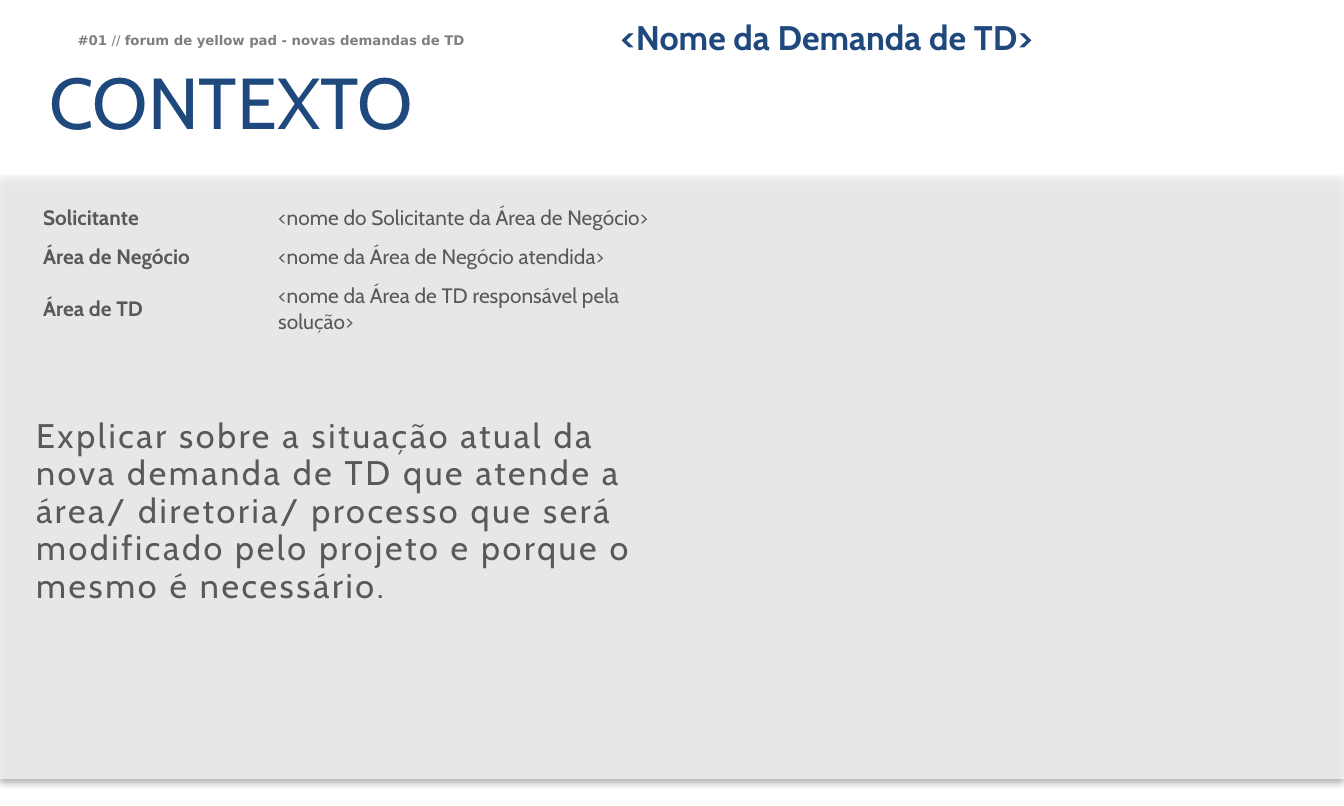
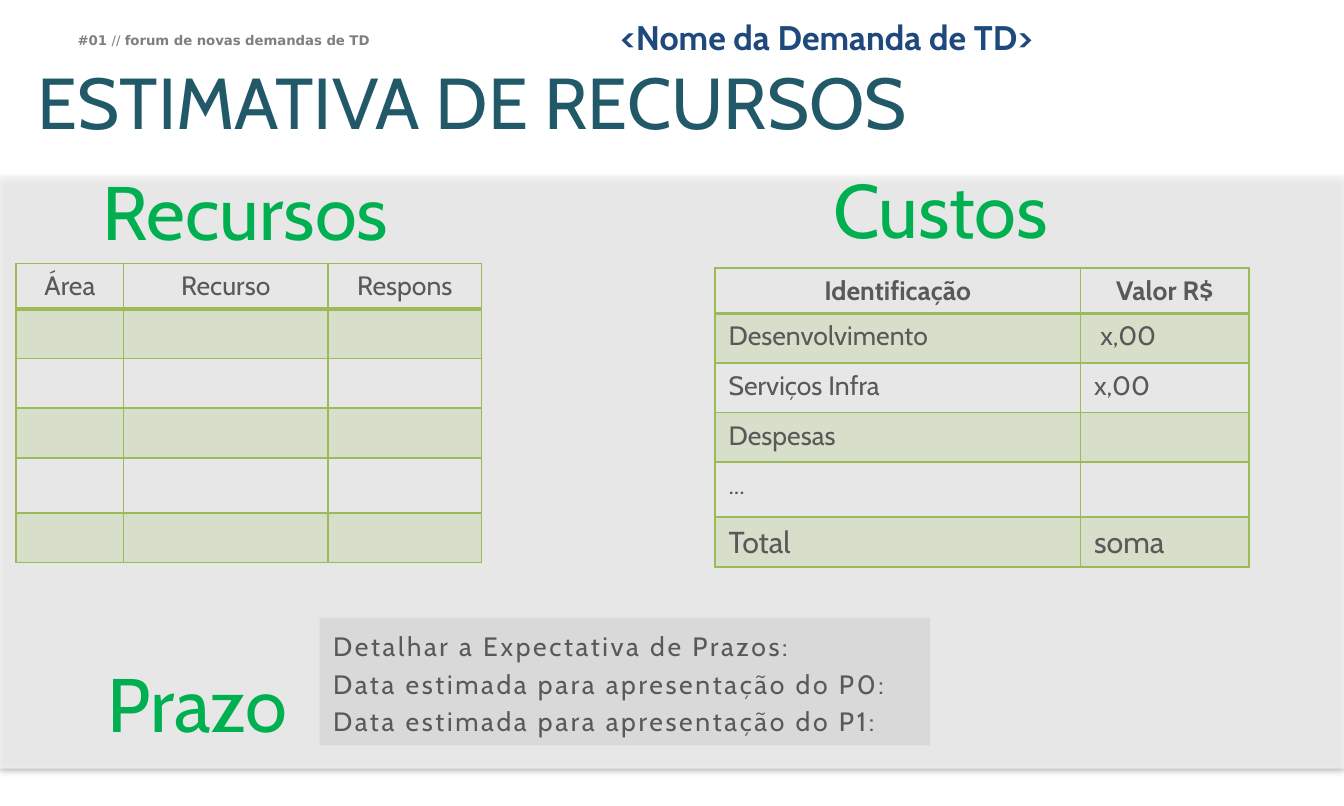
from lxml import etree
from pptx import Presentation
from pptx.dml.color import RGBColor
from pptx.enum import shapes, text
from pptx.oxml import parse_xml
from pptx.oxml.ns import nsdecls, qn
from pptx.util import Pt

NAVY, TEAL, GREEN = "1F497D", "215968", "00B050"
INK, GRAY, PANEL, BOX, OLIVE = "595959", "7F7F7F", "F2F2F2", "D9D9D9", "9BBB59"
PLAIN = "{2D5ABB26-0587-4C30-8999-92F81FD0307C}"
LEFT, MID = text.PP_ALIGN.LEFT, text.PP_ALIGN.CENTER


def hue(code):
    return RGBColor.from_string(code)


def tint(fill, code):
    fill.solid()
    fill.fore_color.rgb = hue(code)


def fade(node, part):
    """Make the colours below node opaque by part percent."""
    for clr in node.iter(qn("a:srgbClr")):
        etree.SubElement(clr, qn("a:alpha")).set("val", str(part * 1000))


def edge(cell, widths):
    """Draw cell borders; widths are points for left, right, top, bottom."""
    props = cell._tc.get_or_add_tcPr()
    for pos, (side, width) in enumerate(zip("LRTB", widths)):
        props.insert(pos, parse_xml(
            f'<a:ln{side} {nsdecls("a")} w="{width * 12700}"><a:solidFill>'
            f'<a:srgbClr val="{OLIVE}"/></a:solidFill></a:ln{side}>'))


class Deck:
    face = "Cabin"

    def __init__(self):
        self.prs = Presentation()
        self.prs.slide_width, self.prs.slide_height = Pt(708.75), Pt(425.25)

    def place(self, shape, box):
        shape.left, shape.top, shape.width, shape.height = map(Pt, box)

    def style(self, frame, size, color, bold=False, align=LEFT, gap=None, face=None):
        for para in frame.paragraphs:
            para.alignment = align
            para.space_before = Pt(0)
            if gap:
                para.line_spacing = gap
            for run in para.runs:
                font = run.font
                font.name, font.size, font.bold = face or self.face, Pt(size), bold
                font.color.rgb = hue(color)

    def inset(self, frame, side, top):
        frame.word_wrap = True
        frame.auto_size = text.MSO_AUTO_SIZE.NONE
        frame.vertical_anchor = text.MSO_ANCHOR.TOP
        frame.margin_left = frame.margin_right = Pt(side)
        frame.margin_top = frame.margin_bottom = Pt(top)

    def label(self, words, box, size, color, side=0, top=0, **look):
        shape = self.slide.shapes.add_textbox(*map(Pt, box))
        shape.text_frame.text = words
        self.inset(shape.text_frame, side, top)
        self.style(shape.text_frame, size, color, **look)
        return shape.text_frame

    def page(self, title, left, width, color, forum, depth):
        """Start a slide with its panel, title, forum line and demand name."""
        self.slide = self.prs.slides.add_slide(self.prs.slide_layouts[1])
        head = self.slide.shapes.title
        self.place(head, (left, 43, width, 33))
        head.text_frame.text = title
        self.inset(head.text_frame, 0, 0)
        self.style(head.text_frame, 38, color, gap=0.7)
        self.panel(depth)
        frame = self.label("", (34.5, 14, 225, 15), 7, GRAY, 6.5, 3)
        for words in ("#01 ", "// ", forum):
            frame.paragraphs[0].add_run().text = words
        self.style(frame, 7, GRAY, True, face="DejaVu Sans")
        frame.paragraphs[0].runs[1].font.bold = False
        self.label("<Nome da Demanda de TD>", (320.2, 8.5, 289.5, 26), 18, NAVY,
                   7.2, 3.6, bold=True, gap=0.85)

    def panel(self, depth):
        rect = self.slide.shapes.add_shape(
            shapes.MSO_SHAPE.RECTANGLE, 0, Pt(93.5), self.prs.slide_width, Pt(depth))
        tint(rect.fill, PANEL)
        fade(rect.element.spPr, 83)
        rect.line.fill.background()
        rect.shadow.inherit = False
        rect.element.spPr.find(qn("a:effectLst")).append(parse_xml(
            f'<a:outerShdw {nsdecls("a")} blurRad="39370" dist="22860" dir="5400000" '
            'rotWithShape="0"><a:srgbClr val="000000"><a:alpha val="35000"/>'
            '</a:srgbClr></a:outerShdw>'))
        self.slide.shapes.title.element.addprevious(rect.element)

    def body(self, words, box, size, side, top, back=None):
        """Fill the body placeholder with widely spaced, unbulleted text."""
        shape = self.slide.placeholders[1]
        self.place(shape, box)
        frame = shape.text_frame
        frame.text = words
        for para in frame.paragraphs:
            props = para._p.get_or_add_pPr()
            props.set("marL", "0")
            props.set("indent", "0")
            etree.SubElement(props, qn("a:buNone"))
        self.inset(frame, side, top)
        self.style(frame, size, INK, gap=Pt(19.8))
        for props in shape.element.iter(qn("a:rPr")):
            props.set("spc", "140")
        if back:
            tint(shape.fill, back)

    def table(self, rows, spot, cols, highs):
        frame = self.slide.shapes.add_table(
            len(rows), len(cols), *map(Pt, (*spot, sum(cols), sum(highs))))
        next(frame.element.iter(qn("a:tableStyleId"))).text = PLAIN
        table = frame.table
        table.first_row = table.horz_banding = False
        for col, width in zip(table.columns, cols):
            col.width = Pt(width)
        for row, high, words in zip(table.rows, highs, rows):
            row.height = Pt(high)
            for cell, word in zip(row.cells, words):
                cell.text = word
                cell.fill.background()
        return table

    def facts(self, rows, spot, cols, highs):
        """Add a borderless table with bold names on the left."""
        table = self.table(rows, spot, cols, highs)
        for row in table.rows:
            for pos, cell in enumerate(row.cells):
                cell.vertical_anchor = text.MSO_ANCHOR.MIDDLE
                self.style(cell.text_frame, 11, INK, pos == 0)

    def grid(self, rows, spot, cols, bold=False):
        """Add a banded table with green borders under a header row."""
        table = self.table(rows, spot, cols, (24, 26.2, 26.2, 26.2, 29, 26.2))
        for num, row in enumerate(table.rows):
            for cell in row.cells:
                cell.margin_bottom = 0
                head = num == 0
                size = 16 if num == len(rows) - 1 else 14
                self.style(cell.text_frame, size, INK, head and bold,
                           MID if head else LEFT)
                if num % 2:
                    tint(cell.fill, OLIVE)
                    fade(cell._tc.tcPr, 20)
                edge(cell, (1, 1, 2 if num == 1 else 1, 2 if head else 1))
        return table


def main():
    deck = Deck()

    deck.page("CONTEXTO", 26, 262, NAVY,
              "forum de yellow pad - novas demandas de TD", 317.5)
    deck.body("Explicar sobre a situação atual da nova demanda de TD que atende a "
              "área/ diretoria/ processo que será modificado pelo projeto e porque "
              "o mesmo é necessário.", (14, 217.2, 340, 147), 18, 5, 3)
    deck.facts([("Solicitante", "<nome do Solicitante da Área de Negócio>"),
                ("Área de Negócio", "<nome da Área de Negócio atendida>"),
                ("Área de TD", "<nome da Área de TD responsável pela solução>")],
               (15.5, 104.6), (124, 226), (20.4, 20.4, 33.4))

    deck.page("ESTIMATIVA DE RECURSOS", 20, 471, TEAL,
              "forum de novas demandas de TD", 312)
    deck.body("Detalhar a Expectativa de Prazos:\vData estimada para apresentação do P0:\n"
              "Data estimada para apresentação do P1:",
              (168.5, 325.8, 322, 67.5), 14, 7.2, 3.6, BOX)
    costs = deck.grid([("Identificação", "Valor R$"), ("Desenvolvimento", "x,00"),
                       ("Serviços Infra", "x,00"), ("Despesas", ""), ("...", ""),
                       ("Total", "soma")], (377, 141.3), (192.8, 88.8), True)
    costs.cell(1, 1).margin_left = Pt(10.5)
    deck.grid([("Área", "Recurso", "Respons")] + [("", "", "")] * 5,
              (8.5, 139), (56.7, 107.8, 81))
    for words, left, top, align in (("Recursos", 54, 96.2, LEFT),
                                    ("Custos", 439.3, 95, LEFT),
                                    ("Prazo", 24.3, 355.6, MID)):
        deck.label(words, (left, top, 160, 39.5), 40, GREEN, align=align, gap=0.8)

    deck.prs.save("out.pptx")


if __name__ == "__main__":
    main()
